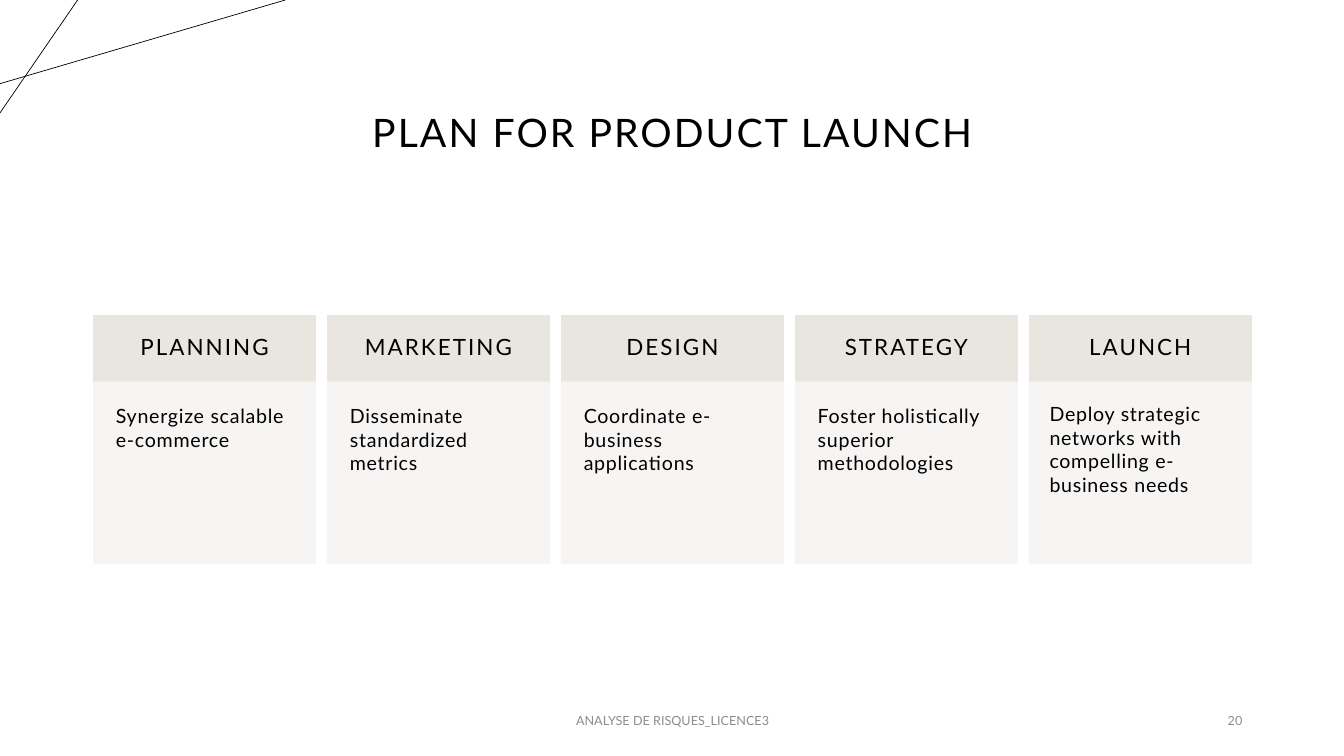
from lxml.etree import SubElement as Sub
from pptx import Presentation
from pptx.dml.color import RGBColor
from pptx.enum.shapes import MSO_CONNECTOR as Conn, MSO_SHAPE as Shape
from pptx.enum.text import MSO_ANCHOR as Anchor, MSO_AUTO_SIZE as Auto, PP_ALIGN as Align
from pptx.oxml.ns import qn
from pptx.util import Pt

PX = 9144  # 100 px to the inch
BLACK = RGBColor(0x00, 0x00, 0x00)
GRAY = RGBColor(0x8C, 0x8C, 0x8C)
SAND = RGBColor(0xE9, 0xE6, 0xDF)
PALE = RGBColor(0xF7, 0xF5, 0xF3)

# Card grid
LEFT, TOP, WIDTH, PITCH = 93, 313, 220, 232
HEAD, BODY = 66, 180

STEPS = [
    ("PLANNING", "Synergize scalable e-commerce", 22),
    ("MARKETING", "Disseminate standardized metrics", 22),
    ("DESIGN", "Coordinate e-business applications", 22),
    ("STRATEGY", "Foster holistically superior methodologies", 22),
    ("LAUNCH", "Deploy strategic networks with compelling e-business needs", 20),
]
LINES = [(0, 83, 283, 0), (77, 0, 0, 112)]


def px(*nums):
    return [n * PX for n in nums]


def write(shape, text, size, align=Align.LEFT, anchor=Anchor.MIDDLE,
          color=BLACK, track=0, lead=1.0, inset=(10, 5)):
    frame = shape.text_frame
    side, edge = px(*inset)
    form = {"word_wrap": True, "auto_size": Auto.NONE, "vertical_anchor": anchor,
            "margin_left": side, "margin_right": side,
            "margin_top": edge, "margin_bottom": edge}
    for name, value in form.items():
        setattr(frame, name, value)
    para = frame.paragraphs[0]
    para.alignment, para.line_spacing = align, lead
    run = para.add_run()
    run.text = text
    for name, value in {"name": "Lato", "size": Pt(size), "bold": False}.items():
        setattr(run.font, name, value)
    run.font.color.rgb = color
    # Letter spacing, in hundredths of a point
    run.font._element.set("spc", str(track))


def box(slide, left, top, width, height, color, alpha=100):
    shape = slide.shapes.add_shape(Shape.RECTANGLE, *px(left, top, width, height))
    shape.shadow.inherit = False
    shape.line.width = Pt(1)
    for fill in (shape.fill, shape.line.fill):
        fill.solid()
        fill.fore_color.rgb = color
    if alpha < 100:
        for tone in shape._element.spPr.iter(qn("a:srgbClr")):
            Sub(tone, qn("a:alpha"), val=str(alpha * 1000))
    return shape


def rule(slide, ends):
    line = slide.shapes.add_connector(Conn.STRAIGHT, *px(*ends))
    line.line.width = Pt(0.5)
    line.line.color.rgb = BLACK
    Sub(line._element.spPr, qn("a:effectLst"))


def card(slide, left, head, body, inset):
    top = box(slide, left, TOP, WIDTH, HEAD, SAND)
    write(top, head, 16, Align.CENTER, track=150, lead=0.9, inset=(17, 17))
    base = box(slide, left, TOP + HEAD, WIDTH, BODY, PALE, alpha=90)
    write(base, body, 14, anchor=Anchor.TOP, track=50, inset=(inset, inset))


def label(slide, left, width, text, align):
    note = slide.shapes.add_textbox(*px(left, 695, width, 40))
    write(note, text, 9, align, color=GRAY)


def main():
    deck = Presentation()
    deck.slide_width, deck.slide_height = px(1333, 750)
    slide = deck.slides.add_slide(deck.slide_layouts[5])

    # Corner lines
    for ends in LINES:
        rule(slide, ends)

    # Title
    title = slide.shapes.title
    title.left, title.top, title.width, title.height = px(92, 15, 1150, 145)
    write(title, "PLAN FOR PRODUCT LAUNCH", 28, Align.CENTER, Anchor.BOTTOM,
          track=150, lead=0.9)

    # Launch steps
    for i, step in enumerate(STEPS):
        card(slide, LEFT + i * PITCH, *step)

    # Footer and slide number
    label(slide, 442, 450, "ANALYSE DE RISQUES_LICENCE3", Align.CENTER)
    label(slide, 942, 300, "20", Align.RIGHT)

    deck.save("out.pptx")


if __name__ == "__main__":
    main()
